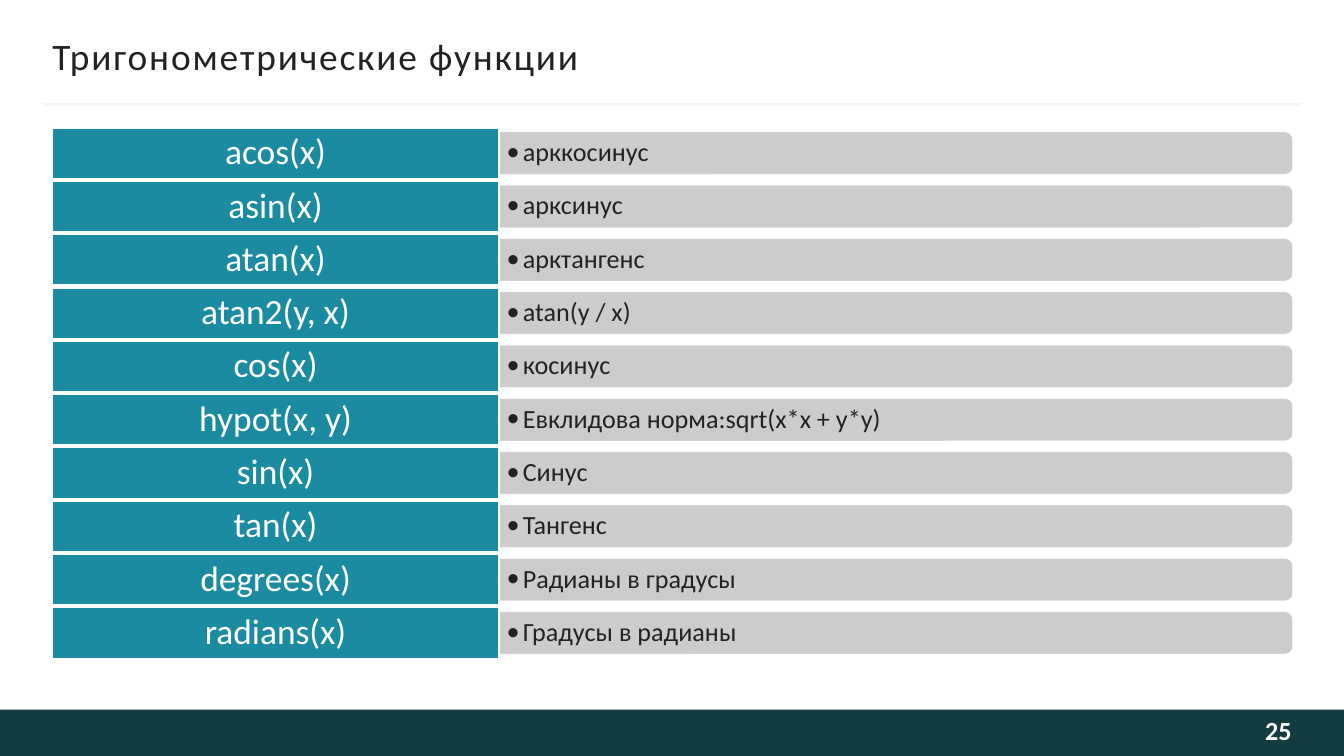
from lxml.etree import SubElement
from pptx import Presentation
from pptx.dml.color import RGBColor
from pptx.enum.shapes import MSO_CONNECTOR, MSO_SHAPE
from pptx.enum.text import MSO_ANCHOR, PP_ALIGN
from pptx.oxml.ns import qn
from pptx.util import Inches, Pt

FUNCTIONS = [
    ("acos(x)", "арккосинус "),
    ("asin(x)", "арксинус"),
    ("atan(x)", "арктангенс"),
    ("atan2(y, x)", "atan(y / x)"),
    ("cos(x)", "косинус"),
    ("hypot(x, y)", "Евклидова норма:sqrt(x*x + y*y)"),
    ("sin(x)", "Синус"),
    ("tan(x)", "Тангенс"),
    ("degrees(x)", "Радианы в градусы"),
    ("radians(x)", "Градусы в радианы"),
]
SLIDE_WIDTH = 10
SLIDE_HEIGHT = SLIDE_WIDTH * 9 / 16
FOOTER_TOP = 5.28
FIRST_TOP, LAST_TOP = 0.95, 4.52
LEFT, LABEL_WIDTH, LABEL_HEIGHT = 0.39, 3.32, 0.38
BAR_LENGTH, BAR_THICKNESS = 5.9, 0.3
TEXT_HEIGHT = 0.27


def set_attributes(target, values):
    """Set every named value on the target."""
    for name, value in values.items():
        setattr(target, name, value)


def set_color(color_format, color):
    """Apply a hex colour."""
    color_format.rgb = RGBColor.from_string(color)


def write_text(shape, text, size, color, margins, align=PP_ALIGN.LEFT,
               bold=False, wrap=True, spacing=1.0):
    """Write one vertically centred paragraph and return it."""
    frame = shape.text_frame
    sides = ("margin_left", "margin_top", "margin_right", "margin_bottom")
    set_attributes(frame, dict(zip(sides, map(Inches, margins))))
    set_attributes(frame, {"word_wrap": wrap, "vertical_anchor": MSO_ANCHOR.MIDDLE})
    paragraph = frame.paragraphs[0]
    set_attributes(paragraph, {"alignment": align, "line_spacing": spacing})
    run = paragraph.add_run()
    run.text = text
    set_attributes(run.font, {"name": "Calibri", "size": Pt(size), "bold": bold})
    set_color(run.font.color, color)
    return paragraph


def add_text(slide, box, text, size, color, margins, **options):
    """Add a text box and return its paragraph."""
    shape = slide.shapes.add_textbox(*map(Inches, box))
    return write_text(shape, text, size, color, margins, **options)


def add_block(slide, kind, box, fill, line=None):
    """Add a filled preset shape with an optional outline."""
    shape = slide.shapes.add_shape(kind, *map(Inches, box))
    shape.shadow.inherit = False
    shape.fill.solid()
    set_color(shape.fill.fore_color, fill)
    if line:
        set_color(shape.line.color, line)
        shape.line.width = Pt(1)
    else:
        shape.line.fill.background()
    return shape


def add_rule(slide, left, right, top):
    """Add the pale line under the title."""
    ends = map(Inches, (left, top, right, top))
    rule = slide.shapes.add_connector(MSO_CONNECTOR.STRAIGHT, *ends)
    set_color(rule.line.color, "F5F5F5")
    rule.line.width = Pt(1.5)
    SubElement(rule._element.spPr, qn("a:effectLst"))


def add_bullet(paragraph):
    """Give the paragraph a hanging bullet."""
    properties = paragraph._p.get_or_add_pPr()
    properties.set("marL", str(Inches(0.12)))
    properties.set("indent", str(Inches(-0.12)))
    SubElement(properties, qn("a:buFont")).set("typeface", "Calibri")
    SubElement(properties, qn("a:buChar")).set("char", "•")


def add_function_row(slide, top, name, meaning):
    """Add a function label and its description bar."""
    middle = top + LABEL_HEIGHT / 2
    bar_left = LEFT + LABEL_WIDTH
    bar_center = bar_left + BAR_LENGTH / 2
    bar = add_block(slide, MSO_SHAPE.ROUND_2_SAME_RECTANGLE,
                    (bar_center - BAR_THICKNESS / 2, middle - BAR_LENGTH / 2,
                     BAR_THICKNESS, BAR_LENGTH), "CDCCCB", "CDCDCD")
    bar.rotation = 90
    line_color = bar._element.spPr.find(qn("a:ln")).find(".//" + qn("a:srgbClr"))
    SubElement(line_color, qn("a:alpha")).set("val", "90000")
    paragraph = add_text(slide, (bar_left, middle - TEXT_HEIGHT / 2, 5.89, TEXT_HEIGHT),
                         meaning, 14, "222222", (0.06, 0.03, 0.06, 0.03), spacing=0.9)
    paragraph.level = 1
    add_bullet(paragraph)
    label = add_block(slide, MSO_SHAPE.RECTANGLE,
                      (LEFT, top, LABEL_WIDTH, LABEL_HEIGHT), "1A8BA0", "FFFFFF")
    write_text(label, name, 19, "FFFFFF", (0.08, 0.04, 0.08, 0.04),
               align=PP_ALIGN.CENTER, spacing=0.9)


def main():
    """Build the slide of trigonometric functions."""
    presentation = Presentation()
    set_attributes(presentation, {"slide_width": Inches(SLIDE_WIDTH),
                                  "slide_height": Inches(SLIDE_HEIGHT)})
    slide = presentation.slides.add_slide(presentation.slide_layouts[6])
    add_block(slide, MSO_SHAPE.RECTANGLE,
              (0, FOOTER_TOP, SLIDE_WIDTH, SLIDE_HEIGHT - FOOTER_TOP), "133C41")
    add_rule(slide, 0.32, 9.68, 0.78)
    title = add_text(slide, (LEFT, 0.25, 9.22, 0.33), "Тригонометрические функции",
                     20, "222222", (0, 0.05, 0, 0.05))
    title.runs[0].font._element.set("spc", "100")
    pitch = (LAST_TOP - FIRST_TOP) / (len(FUNCTIONS) - 1)
    for index, (name, meaning) in enumerate(FUNCTIONS):
        add_function_row(slide, FIRST_TOP + index * pitch, name, meaning)
    add_text(slide, (8.11, FOOTER_TOP, 1.5, 0.35), "25", 14, "FEFEFE",
             (0.1, 0.05, 0, 0.09), align=PP_ALIGN.RIGHT, bold=True)
    presentation.save("out.pptx")


main()
